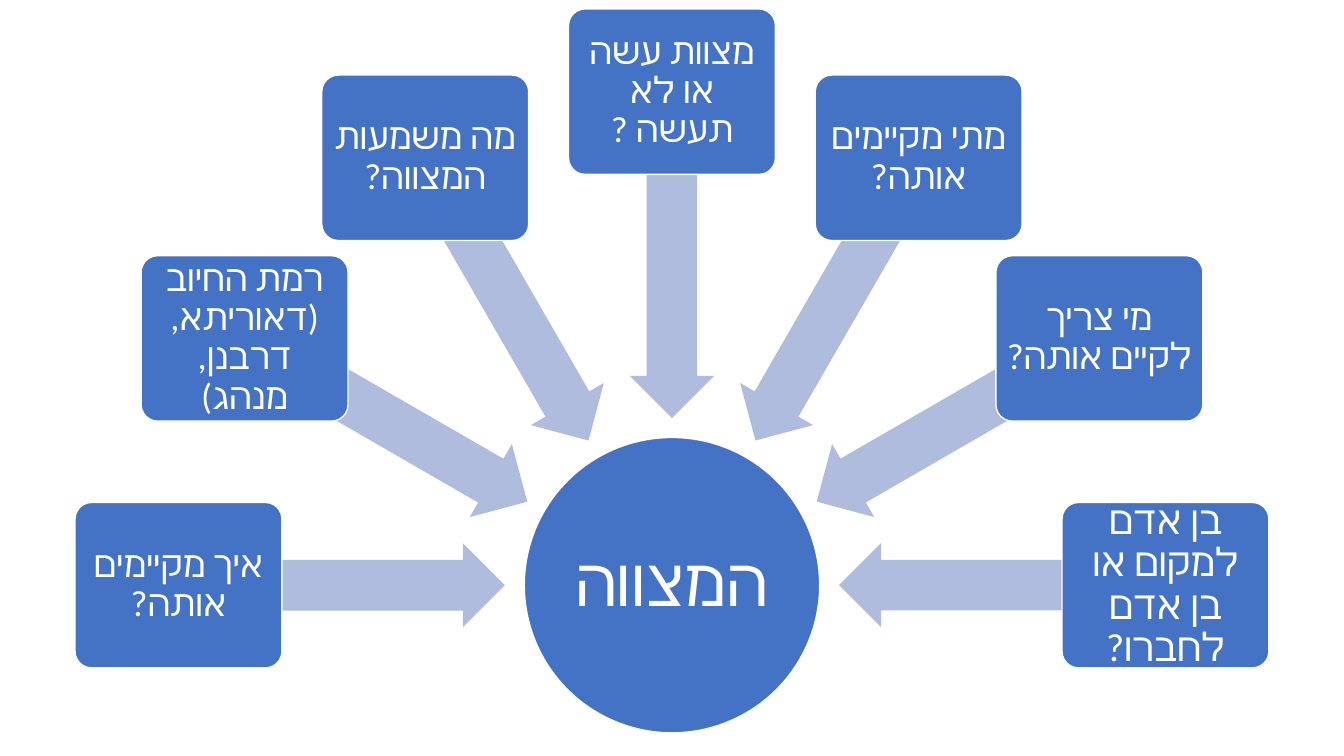
import math

import lxml.etree
import pptx
import pptx.dml.color
import pptx.enum.shapes
import pptx.enum.text
import pptx.oxml.ns
import pptx.util

Pt = pptx.util.Pt
SHAPE = pptx.enum.shapes.MSO_SHAPE
BLUE = pptx.dml.color.RGBColor(0x44, 0x72, 0xC4)
PALE_BLUE = pptx.dml.color.RGBColor(0xB0, 0xBC, 0xDE)
WHITE = pptx.dml.color.RGBColor(0xFF, 0xFF, 0xFF)

CENTER_X, CENTER_Y = 480, 418
CIRCLE_SIZE = 211
BOX_W, BOX_H, BOX_RADIUS = 147.8, 118.2, 352.5
ARROW_W, ARROW_H, ARROW_RADIUS = 233.3, 60.2, 236
STEP = 30

QUESTIONS = [
    ("איך מקיימים אותה?", 26, 3.3),
    ("רמת החיוב (דאוריתא, דרבנן, מנהג)", 26, 3.3),
    ("מה משמעות המצווה?", 26, 0.5),
    ("מצוות עשה או לא תעשה ?", 26, 3.3),
    ("מתי מקיימים אותה?", 26, 0.5),
    ("מי צריך לקיים אותה? ", 26, 3.3),
    ("בן אדם למקום או בן אדם לחברו?", 28, 4),
]

prs = pptx.Presentation()
prs.slide_width, prs.slide_height = Pt(960), Pt(540)
s = prs.slides.add_slide(prs.slide_layouts[6])


def add_shape(kind, x, y, w, h, fill, adjustments=()):
    sp = s.shapes.add_shape(kind, Pt(x - w / 2), Pt(y - h / 2), Pt(w), Pt(h))
    sp.shadow.inherit = False
    for i, value in enumerate(adjustments):
        sp.adjustments[i] = value
    sp.fill.solid()
    sp.fill.fore_color.rgb = fill
    sp.line.fill.background()
    return sp


def add_text(sp, text, size, margin, wrap=True, font="Calibri", color=WHITE):
    sp.line.color.rgb = WHITE
    sp.line.width = Pt(1)
    tf = sp.text_frame
    tf.word_wrap = wrap
    tf.vertical_anchor = pptx.enum.text.MSO_ANCHOR.MIDDLE
    tf.margin_left = tf.margin_right = Pt(margin)
    tf.margin_top = tf.margin_bottom = Pt(margin)
    p = tf.paragraphs[0]
    p.alignment = pptx.enum.text.PP_ALIGN.CENTER
    p.line_spacing = 0.9
    p._p.get_or_add_pPr().set("rtl", "1")
    r = p.add_run()
    r.text = text
    r.font.size = Pt(size)
    r.font.color.rgb = color
    r.font.name = font
    cs = lxml.etree.SubElement(r._r.get_or_add_rPr(), pptx.oxml.ns.qn("a:cs"))
    cs.set("typeface", font)


circle = add_shape(SHAPE.OVAL, CENTER_X, CENTER_Y, CIRCLE_SIZE, CIRCLE_SIZE, BLUE)
add_text(circle, "המצווה", size=48, margin=2.2, wrap=False)

for i, (question, size, margin) in enumerate(QUESTIONS):
    angle = 180 + STEP * i
    dx, dy = math.cos(math.radians(angle)), math.sin(math.radians(angle))
    arrow = add_shape(SHAPE.LEFT_ARROW, CENTER_X + ARROW_RADIUS * dx, CENTER_Y + ARROW_RADIUS * dy,
                      ARROW_W, ARROW_H, PALE_BLUE, (0.6, 0.5))
    arrow.rotation = angle % 360
    box = add_shape(SHAPE.ROUNDED_RECTANGLE, CENTER_X + BOX_RADIUS * dx, CENTER_Y + BOX_RADIUS * dy,
                    BOX_W, BOX_H, BLUE, (0.1,))
    add_text(box, question, size=size, margin=margin)

prs.save("out.pptx")
